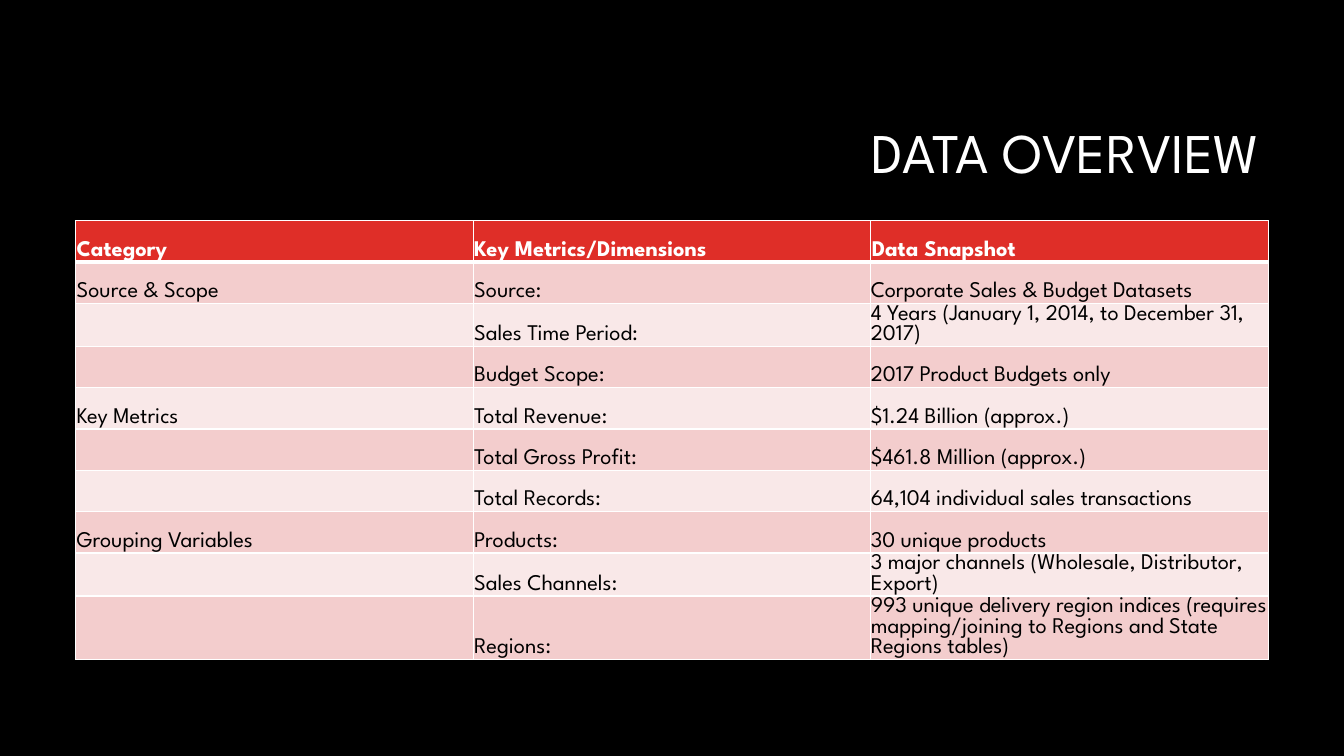
"""Build the data overview slide with its table of metrics."""
from lxml.etree import SubElement
from pptx import Presentation
from pptx.dml.color import RGBColor
from pptx.enum.text import MSO_ANCHOR, PP_ALIGN
from pptx.oxml import parse_xml
from pptx.oxml.ns import nsdecls
from pptx.util import Inches, Pt

TITLE = "DATA OVERVIEW"
HEADER = ("Category", "Key Metrics/Dimensions", "Data Snapshot")
GROUPS = {
    "Source & Scope": [
        ("Source:", "Corporate Sales & Budget Datasets"),
        ("Sales Time Period:", "4 Years (January 1, 2014, to December 31, 2017)"),
        ("Budget Scope:", "2017 Product Budgets only"),
    ],
    "Key Metrics": [
        ("Total Revenue:", "$1.24 Billion (approx.)"),
        ("Total Gross Profit:", "$461.8 Million (approx.)"),
        ("Total Records:", "64,104 individual sales transactions"),
    ],
    "Grouping Variables": [
        ("Products:", "30 unique products"),
        ("Sales Channels:", "3 major channels (Wholesale, Distributor, Export)"),
        ("Regions:", "993 unique delivery region indices (requires mapping/joining "
                     "to Regions and State Regions tables)"),
    ],
}

FONT = "League Spartan"
BLACK = RGBColor(0x00, 0x00, 0x00)
WHITE = RGBColor(0xFF, 0xFF, 0xFF)
RED = RGBColor(0xDF, 0x2E, 0x28)
BANDS = (RGBColor(0xF9, 0xE8, 0xE8), RGBColor(0xF3, 0xCD, 0xCD))
ROW_HEIGHT = 0.41
TABLE_LEFT, TABLE_TOP, TABLE_WIDTH = 0.75, 2.19, 11.83


def write(para, text, size, color, bold=False):
    """Add one formatted run to a paragraph."""
    span = para.add_run()
    span.text = text
    for name, value in {"name": FONT, "size": Pt(size), "bold": bold}.items():
        setattr(span.font, name, value)
    span.font.color.rgb = color


def add_borders(cell, bottom_width):
    """Draw white lines on the four sides of a cell."""
    properties = cell._tc.get_or_add_tcPr()
    for place, (side, width) in enumerate(zip("LRTB", (1, 1, 1, bottom_width))):
        line = parse_xml(f'<a:ln{side} {nsdecls("a")} w="{Pt(width)}"><a:solidFill>'
                         f'<a:srgbClr val="{WHITE}"/></a:solidFill></a:ln{side}>')
        properties.insert(place, line)


def add_title(page):
    """Place and fill the title placeholder."""
    title = page.shapes.title
    box = {"left": 3.17, "top": 0.84, "width": 9.42, "height": 1.41}
    for name, value in box.items():
        setattr(title, name, Inches(value))
    title.text_frame.vertical_anchor = MSO_ANCHOR.MIDDLE
    para = title.text_frame.paragraphs[0]
    para.alignment = PP_ALIGN.RIGHT
    para.line_spacing = 0.9
    write(para, TITLE, 40, WHITE)


def add_metrics(page):
    """Add the table, with each category named on its first row only."""
    rows = [HEADER] + [
        (category if index == 0 else "", metric, snapshot)
        for category, metrics in GROUPS.items()
        for index, (metric, snapshot) in enumerate(metrics)
    ]
    frame = page.shapes.add_table(
        len(rows), len(HEADER), Inches(TABLE_LEFT), Inches(TABLE_TOP),
        Inches(TABLE_WIDTH), Inches(ROW_HEIGHT * len(rows)))
    for row_index, row in enumerate(rows):
        is_header = row_index == 0
        for column, text in enumerate(row):
            cell = frame.table.cell(row_index, column)
            side = 0 if column == 2 and not is_header else 0.01
            margins = {"left": side, "right": side, "top": 0.01, "bottom": 0.01}
            for name, value in margins.items():
                setattr(cell, f"margin_{name}", Inches(value))
            cell.vertical_anchor = MSO_ANCHOR.BOTTOM
            cell.fill.solid()
            cell.fill.fore_color.rgb = RED if is_header else BANDS[row_index % 2]
            add_borders(cell, 3 if is_header else 1)
            if text:
                write(cell.text_frame.paragraphs[0], text, 16,
                      WHITE if is_header else BLACK, is_header)


def main():
    """Create and save the deck."""
    deck = Presentation()
    deck.slide_width, deck.slide_height = Inches(13.33), Inches(7.5)
    page = deck.slides.add_slide(deck.slide_layouts[5])
    page.background.fill.solid()
    page.background.fill.fore_color.rgb = BLACK
    add_title(page)
    add_metrics(page)
    deck.save("out.pptx")


if __name__ == "__main__":
    main()
